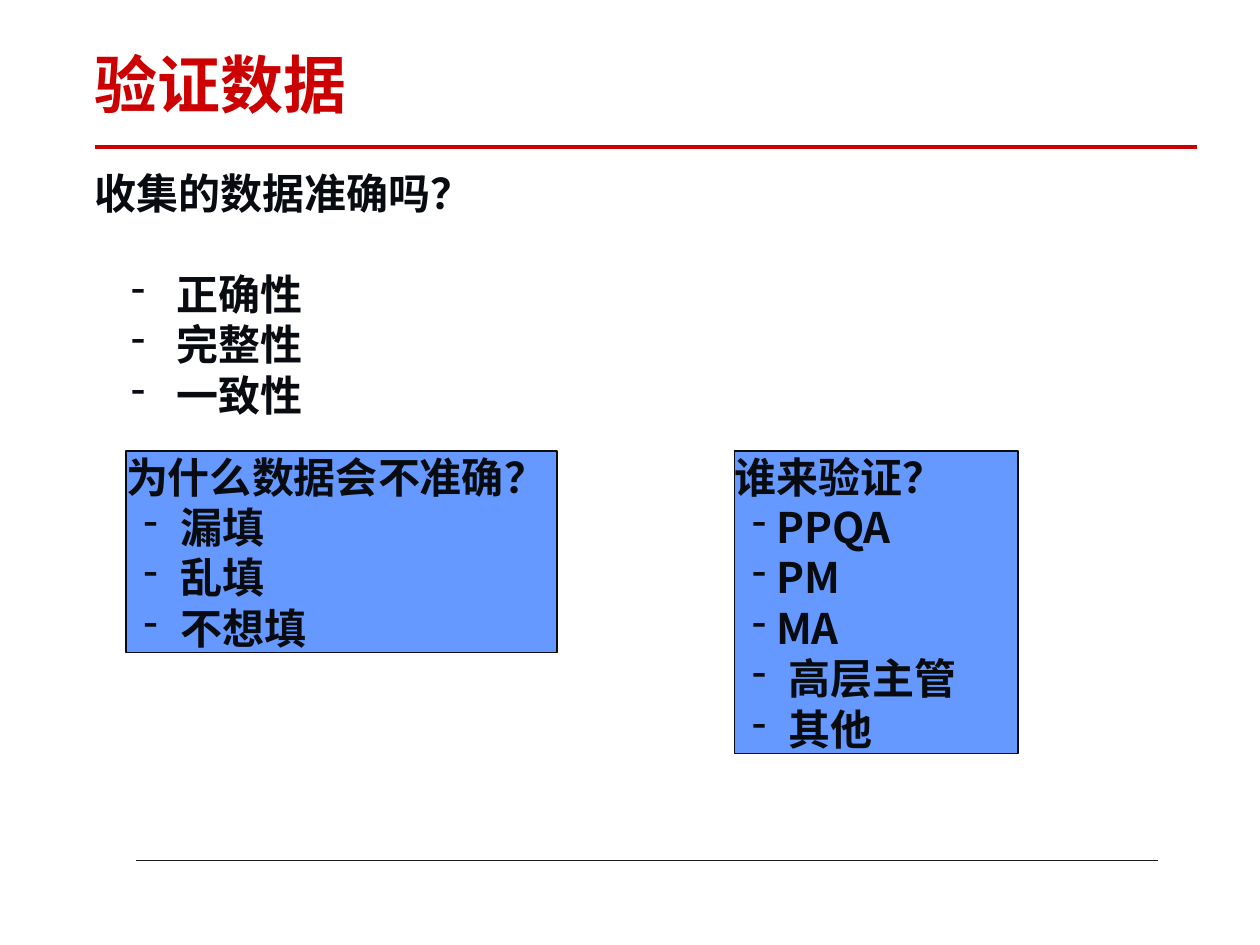
import pptx
import pptx.util
import pptx.dml.color
import pptx.enum.shapes
import pptx.enum.text
import pptx.oxml.ns
from lxml import etree
from pptx.util import Inches, Pt

FONT = "Noto Sans CJK SC"
RED, INK, BLUE, GREY = "CC0000", "080C10", "6699FF", "1C1C1C"
LINE_HEIGHT = 0.4

TITLE = "验证数据"
QUESTION = "收集的数据准确吗？"
QUALITIES = ["正确性", "完整性", "一致性"]
PANELS = [
    (5.83, 2.25, "谁来验证？",
     [("PPQA", 0.33), ("PM", 0.33), ("MA", 0.33), ("高层主管", 0.43), ("其他", 0.43)]),
    (1, 3.42, "为什么数据会不准确？",
     [("漏填", 0.43), ("乱填", 0.43), ("不想填", 0.43)]),
]
RULES = [(1.08, 9.19, 6.83, GREY, 1), (0.75, 9.5, 1.17, RED, 2.25)]


def color(value):
    return pptx.dml.color.RGBColor.from_string(value)


def add_rule(page, left, right, top, ink, width):
    rule = page.shapes.add_connector(
        pptx.enum.shapes.MSO_CONNECTOR.STRAIGHT,
        Inches(left), Inches(top), Inches(right), Inches(top))
    rule.line.color.rgb = color(ink)
    rule.line.width = Pt(width)
    etree.SubElement(rule._element.spPr, pptx.oxml.ns.qn("a:effectLst"))


def prepare(box):
    frame = box.text_frame
    frame.word_wrap = True
    frame.vertical_anchor = pptx.enum.text.MSO_ANCHOR.TOP
    frame.margin_left = frame.margin_right = 0
    frame.margin_top = frame.margin_bottom = 0
    return frame


def add_text_box(page, left, top, width, height):
    return prepare(page.shapes.add_textbox(
        Inches(left), Inches(top), Inches(width), Inches(height)))


def style(para, text, size=24, ink=INK, spacing=LINE_HEIGHT * 72):
    para.text = text
    para.alignment = pptx.enum.text.PP_ALIGN.LEFT
    para.line_spacing = Pt(spacing)
    para.font.name = FONT
    para.font.size = Pt(size)
    para.font.bold = True
    para.font.color.rgb = color(ink)
    defaults = para._p.pPr.find(pptx.oxml.ns.qn("a:defRPr"))
    etree.SubElement(defaults, pptx.oxml.ns.qn("a:ea"), typeface=FONT)


def add_bullet(frame, text, dash, indent, before=0):
    para = frame.add_paragraph()
    style(para, text)
    para.space_before = Pt(before)
    props = para._p.pPr
    props.set("marL", str(Inches(indent)))
    props.set("indent", str(Inches(dash - indent)))
    bullet = etree.Element(pptx.oxml.ns.qn("a:buChar"), char="-")
    props.find(pptx.oxml.ns.qn("a:defRPr")).addprevious(bullet)


def add_panel(page, left, width, heading, items):
    height = LINE_HEIGHT * (len(items) + 1)
    panel = page.shapes.add_shape(
        pptx.enum.shapes.MSO_SHAPE.RECTANGLE,
        Inches(left), Inches(3.58), Inches(width), Inches(height))
    panel.shadow.inherit = False
    panel.fill.solid()
    panel.fill.fore_color.rgb = color(BLUE)
    panel.line.color.rgb = color(INK)
    panel.line.width = Pt(0.75)
    frame = prepare(panel)
    style(frame.paragraphs[0], heading)
    for text, indent in items:
        add_bullet(frame, text, 0.14, indent)


def main():
    deck = pptx.Presentation()
    deck.slide_width, deck.slide_height = Inches(10), Inches(7.5)
    page = deck.slides.add_slide(deck.slide_layouts[6])
    for rule in RULES:
        add_rule(page, *rule)
    title = add_text_box(page, 0.75, 0.42, 8.75, 0.61)
    style(title.paragraphs[0], TITLE, 36, RED, 39)
    body = add_text_box(page, 0.75, 1.33, 8.67, 5.25)
    style(body.paragraphs[0], QUESTION)
    for index, quality in enumerate(QUALITIES):
        add_bullet(body, quality, 0.29, 0.65, 0 if index else LINE_HEIGHT * 72)
    for panel in PANELS:
        add_panel(page, *panel)
    deck.save("out.pptx")


if __name__ == "__main__":
    main()
